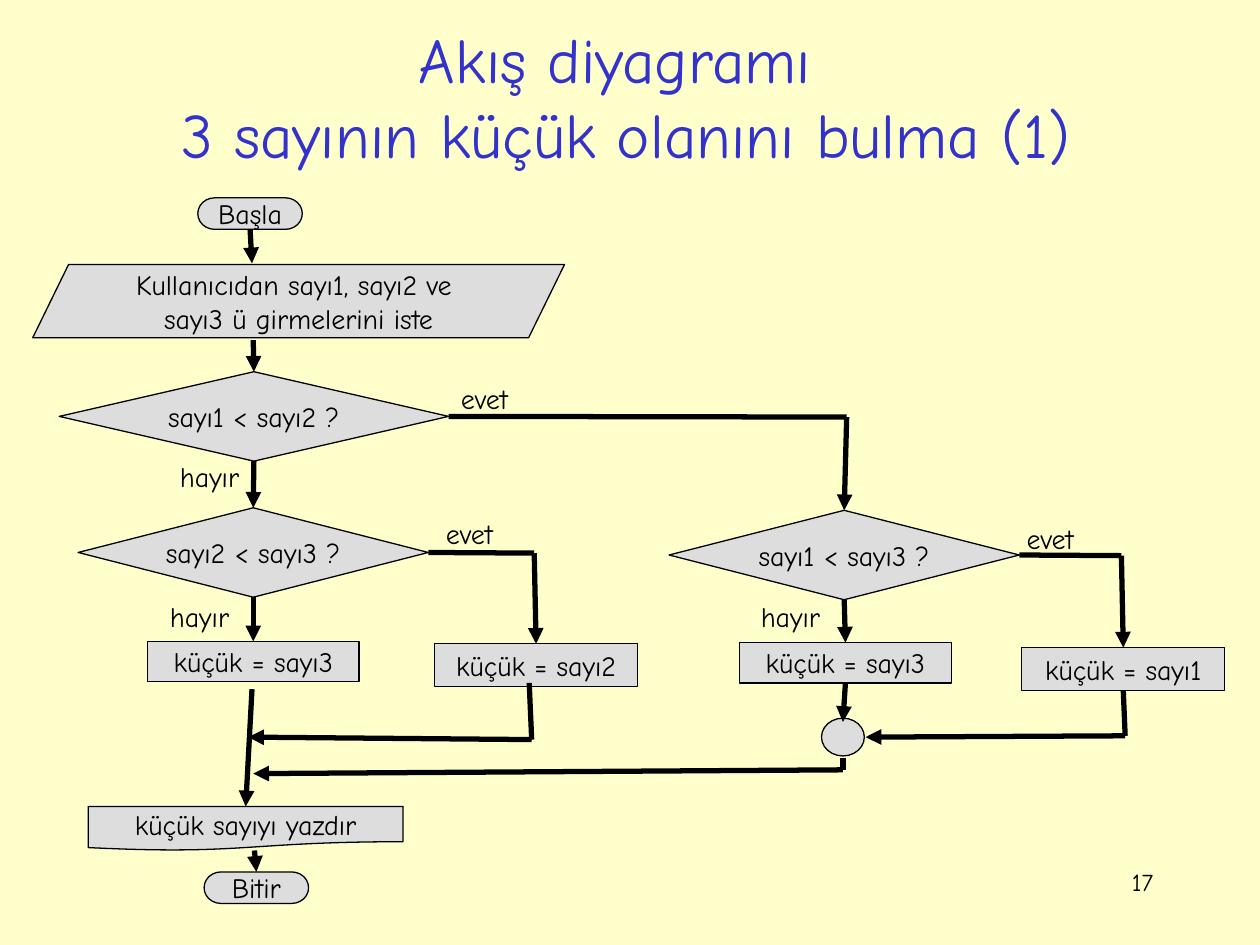
"""Build a flowchart slide that finds the smallest of three numbers."""
from dataclasses import dataclass
from itertools import pairwise
from typing import NamedTuple

from lxml import etree
from pptx import Presentation
from pptx.dml.color import RGBColor
from pptx.enum.shapes import MSO_CONNECTOR, MSO_SHAPE
from pptx.enum.text import MSO_ANCHOR, PP_ALIGN
from pptx.oxml.ns import qn
from pptx.util import Inches, Pt

STRAIGHT = MSO_CONNECTOR.STRAIGHT
TERMINATOR = MSO_SHAPE.FLOWCHART_TERMINATOR
DECISION = MSO_SHAPE.FLOWCHART_DECISION
DOCUMENT = MSO_SHAPE.FLOWCHART_DOCUMENT
INPUT = MSO_SHAPE.PARALLELOGRAM
PROCESS = MSO_SHAPE.RECTANGLE
JOIN = MSO_SHAPE.OVAL
LEFT, CENTER, RIGHT = PP_ALIGN.LEFT, PP_ALIGN.CENTER, PP_ALIGN.RIGHT
TOP_ANCHOR, MIDDLE = MSO_ANCHOR.TOP, MSO_ANCHOR.MIDDLE
TOP_SIDE, BOTTOM_SIDE, RIGHT_SIDE = 0, 2, 3

COLORS = {"page": "FFFFCC", "node": "DDDDDD", "ink": "000000", "title": "3333CC"}
COLUMNS, ROWS = 100, 75
WIDTH, HEIGHT = Inches(10), Inches(7.5)
END_SIZE = (8.3, 2.5)
BRANCH_SIZE = (27.8, 7.1)
NO_SIZE = (16.8, 3.2)
YES_SIZE = (16.1, 3.4)


class Port(NamedTuple):
    """Middle of one side of a named node."""
    node: str
    side: int


class Point(NamedTuple):
    """Free position in grid columns and rows."""
    column: float
    row: float


@dataclass(frozen=True)
class Node:
    """Flowchart symbol placed on the grid."""
    name: str
    preset: MSO_SHAPE
    left: float
    top: float
    size: tuple[float, float]
    lines: tuple[str, ...] = ()


@dataclass(frozen=True)
class Label:
    """Free text placed on the grid."""
    text: str
    left: float
    top: float
    size: tuple[float, float] = (10, 3.7)
    align: PP_ALIGN = LEFT
    anchor: MSO_ANCHOR = TOP_ANCHOR
    points: int = 16
    color: str = "ink"


@dataclass(frozen=True)
class Route:
    """Chain of straight lines with an arrowhead at its end."""
    stops: tuple[Port | Point, ...]
    arrow: bool = True


NODES = (
    Node("start", TERMINATOR, 15.7, 15.7, END_SIZE, ("Başla",)),
    Node("input", INPUT, 2.6, 21, (42.2, 5.8),
         ("Kullanıcıdan sayı1, sayı2 ve ", "sayı3 ü girmelerini iste")),
    Node("first", DECISION, 4.7, 29.5, (30.9, 7.1), ("sayı1 < sayı2 ?",)),
    Node("second", DECISION, 6.2, 40.3, BRANCH_SIZE, ("sayı2 < sayı3 ?",)),
    Node("third", DECISION, 53.1, 40.5, BRANCH_SIZE, ("sayı1 < sayı3 ?",)),
    Node("second no", PROCESS, 11.7, 50.9, NO_SIZE, ("küçük = sayı3",)),
    Node("second yes", PROCESS, 34.5, 51.1, YES_SIZE, ("küçük = sayı2",)),
    Node("third no", PROCESS, 58.7, 51, NO_SIZE, ("küçük = sayı3",)),
    Node("third yes", PROCESS, 81.1, 51.4, YES_SIZE, ("küçük = sayı1",)),
    Node("join", JOIN, 65.2, 57, (3.4, 3)),
    Node("print", DOCUMENT, 7, 64, (25, 3.5), ("küçük sayıyı yazdır",)),
    Node("end", TERMINATOR, 16.2, 69.2, END_SIZE, ("Bitir",)),
)

LABELS = (
    Label("Akış diyagramı \v3 sayının küçük olanını bulma (1)", 1.9, 1.6,
          (95.5, 12), CENTER, MIDDLE, 36, "title"),
    Label("evet", 35.6, 29.8),
    Label("evet", 34.4, 40.5),
    Label("evet", 80.5, 40.9),
    Label("hayır", 13.3, 36),
    Label("hayır", 12.5, 47.1),
    Label("hayır", 59.4, 47.1),
    Label("17", 71.7, 68.3, (20.8, 5), RIGHT, points=14),
)

ROUTES = (
    Route((Port("start", BOTTOM_SIDE), Point(20, 20.9))),
    Route((Point(20.1, 27), Port("first", TOP_SIDE))),
    Route((Port("first", BOTTOM_SIDE), Port("second", TOP_SIDE))),
    Route((Port("first", RIGHT_SIDE), Point(67.2, 33.1), Port("third", TOP_SIDE))),
    Route((Port("second", BOTTOM_SIDE), Port("second no", TOP_SIDE))),
    Route((Port("second", RIGHT_SIDE), Point(42.4, 43.9), Port("second yes", TOP_SIDE))),
    Route((Port("third", BOTTOM_SIDE), Port("third no", TOP_SIDE))),
    Route((Port("third", RIGHT_SIDE), Point(89, 44.1), Port("third yes", TOP_SIDE))),
    Route((Point(42, 54.2), Point(42.2, 58.7), Point(19.7, 58.5))),
    Route((Port("third no", BOTTOM_SIDE), Point(66.9, 57.3))),
    Route((Port("third yes", BOTTOM_SIDE), Point(89.3, 58.4), Point(68.7, 58.5))),
    Route((Point(66.9, 60.2), Point(66.9, 61.1), Point(20.1, 61.4))),
    Route((Point(20, 54.7), Port("print", TOP_SIDE))),
    Route((Point(20.2, 67.5), Port("end", TOP_SIDE))),
)


def across(columns: float) -> int:
    """Return the length of a number of grid columns."""
    return round(WIDTH * columns / COLUMNS)


def down(rows: float) -> int:
    """Return the length of a number of grid rows."""
    return round(HEIGHT * rows / ROWS)


def place(item: Node | Label) -> tuple[int, int, int, int]:
    """Return left, top, width and height of an item."""
    columns, rows = item.size
    return across(item.left), down(item.top), across(columns), down(rows)


def color(name: str) -> RGBColor:
    """Return a named colour."""
    return RGBColor.from_string(COLORS[name])


def write(frame, lines, align, anchor, points=16, ink="ink", wrap=True) -> None:
    """Fill a text frame with one paragraph per line."""
    for name, value in {"word_wrap": wrap, "vertical_anchor": anchor}.items():
        setattr(frame, name, value)
    frame.text = "\n".join(lines)
    for para in frame.paragraphs:
        para.alignment = align
        for span in para.runs:
            for name, value in {"name": "Comic Neue", "size": Pt(points)}.items():
                setattr(span.font, name, value)
            span.font.color.rgb = color(ink)


def draw_node(page, node: Node):
    """Draw a flowchart symbol and return its shape."""
    shape = page.shapes.add_shape(node.preset, *place(node))
    shape.shadow.inherit = False
    shape.fill.solid()
    shape.fill.fore_color.rgb = color("node")
    shape.line.color.rgb = color("ink")
    shape.line.width = Pt(0.75)
    if node.preset == INPUT:
        shape.adjustments[0] = 0.49
    if node.lines:
        write(shape.text_frame, node.lines, CENTER, MIDDLE, wrap=False)
    return shape


def draw_label(page, label: Label) -> None:
    """Draw a free text."""
    box = page.shapes.add_textbox(*place(label))
    write(box.text_frame, [label.text], label.align, label.anchor, label.points, label.color)


def draw_route(page, route: Route, shapes: dict) -> None:
    """Draw the lines of a route and join them to the nodes."""
    for stops in pairwise(route.stops):
        ends = [(across(stop.column), down(stop.row)) if isinstance(stop, Point) else (0, 0)
                for stop in stops]
        line = page.shapes.add_connector(STRAIGHT, *ends[0], *ends[1])
        for stop, connect in zip(stops, (line.begin_connect, line.end_connect)):
            if isinstance(stop, Port):
                connect(shapes[stop.node], stop.side)
        line.line.color.rgb = color("ink")
        line.line.width = Pt(3)
        properties = line.element.spPr
        if route.arrow and stops[1] == route.stops[-1]:
            etree.SubElement(properties.find(qn("a:ln")), qn("a:tailEnd"), type="triangle")
        etree.SubElement(properties, qn("a:effectLst"))


def main() -> None:
    """Build and save the deck."""
    deck = Presentation()
    for name, value in {"slide_width": WIDTH, "slide_height": HEIGHT}.items():
        setattr(deck, name, value)
    page = deck.slides.add_slide(deck.slide_layouts[6])
    page.background.fill.solid()
    page.background.fill.fore_color.rgb = color("page")
    shapes = {node.name: draw_node(page, node) for node in NODES}
    for label in LABELS:
        draw_label(page, label)
    for route in ROUTES:
        draw_route(page, route, shapes)
    deck.save("out.pptx")


if __name__ == "__main__":
    main()
